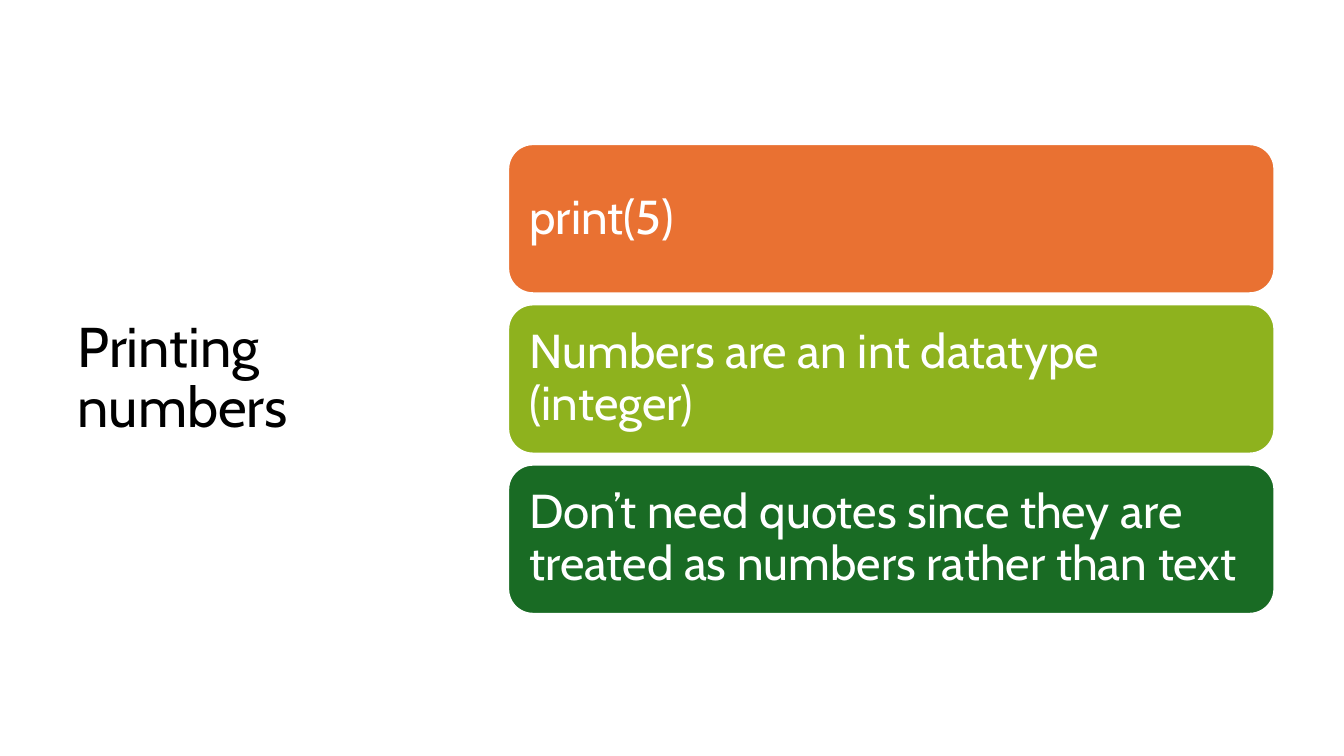
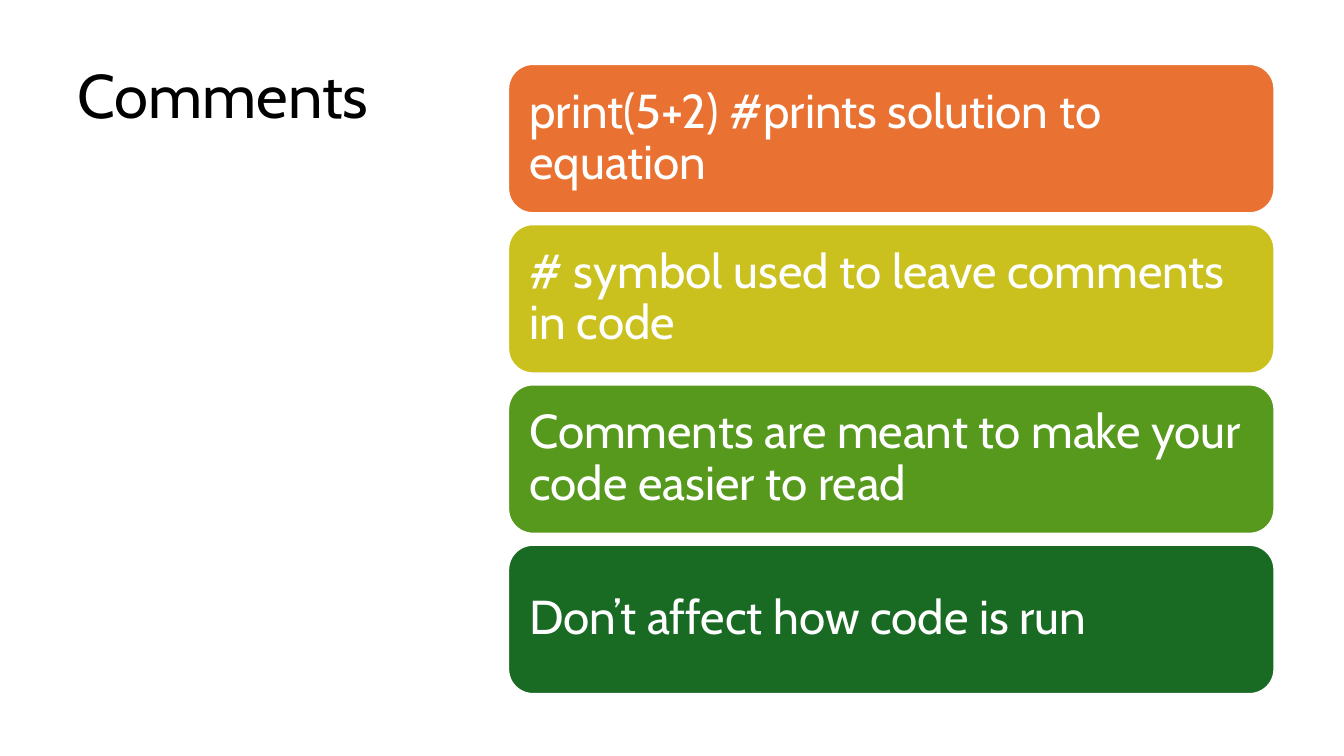
"""Build two lesson slides, each with a title and a stack of coloured cards."""
import pptx
import pptx.dml.color
import pptx.enum.shapes
import pptx.enum.text
import pptx.util

Inches = pptx.util.Inches
ANCHOR = pptx.enum.text.MSO_ANCHOR
FONT = "Cabin"
BLACK, WHITE = "000000", "FFFFFF"
ORANGE, YELLOW, LIME = "E97132", "CBC11E", "8EB21E"
GREEN, FOREST = "56991D", "196B24"
CARD_LEFT, CARD_WIDTH, CARD_HEIGHT = 5.04, 7.6, 1.48
CARD_GAP, CARD_INSET = 0.11, 0.14
STACK_MIDDLE = 3.76

SLIDES = [
    ("Printing numbers", 40, ANCHOR.MIDDLE, [
        ("print(5)", ORANGE),
        ("Numbers are an int datatype (integer)", LIME),
        ("Don’t need quotes since they are treated as numbers rather than text", FOREST),
    ]),
    ("Comments", 44, ANCHOR.TOP, [
        ("print(5+2) #prints solution to equation", ORANGE),
        ("# symbol used to leave comments in code", YELLOW),
        ("Comments are meant to make your code easier to read", GREEN),
        ("Don’t affect how code is run", FOREST),
    ]),
]


def paint(target, color):
    target.rgb = pptx.dml.color.RGBColor.from_string(color)


def write(shape, text, size, color, anchor):
    frame = shape.text_frame
    frame.text = text
    frame.word_wrap = True
    frame.vertical_anchor = anchor
    para = frame.paragraphs[0]
    para.alignment = pptx.enum.text.PP_ALIGN.LEFT
    para.line_spacing = 0.9
    font = para.runs[0].font
    font.name = FONT
    font.size = pptx.util.Pt(size)
    paint(font.color, color)


def add_title(slide, text, size, anchor):
    box = slide.shapes.add_textbox(
        Inches(0.67), Inches(0.6), Inches(3.82), Inches(6.33))
    write(box, text, size, BLACK, anchor)


def add_card(slide, top, text, color):
    card = slide.shapes.add_shape(
        pptx.enum.shapes.MSO_SHAPE.ROUNDED_RECTANGLE,
        Inches(CARD_LEFT), Inches(top), Inches(CARD_WIDTH), Inches(CARD_HEIGHT))
    card.shadow.inherit = False
    card.fill.solid()
    paint(card.fill.fore_color, color)
    paint(card.line.color, WHITE)
    card.line.width = pptx.util.Pt(1.5)
    frame = card.text_frame
    frame.margin_left = frame.margin_right = Inches(CARD_INSET)
    frame.margin_top = frame.margin_bottom = Inches(CARD_INSET)
    write(card, text, 34, WHITE, ANCHOR.MIDDLE)


def add_stack(slide, cards):
    pitch = CARD_HEIGHT + CARD_GAP
    top = STACK_MIDDLE - (len(cards) * pitch - CARD_GAP) / 2
    for row, (text, color) in enumerate(cards):
        add_card(slide, top + row * pitch, text, color)


def main():
    deck = pptx.Presentation()
    deck.slide_width, deck.slide_height = Inches(13.33), Inches(7.5)
    for title, size, anchor, cards in SLIDES:
        slide = deck.slides.add_slide(deck.slide_layouts[6])
        add_title(slide, title, size, anchor)
        add_stack(slide, cards)
    deck.save("out.pptx")


if __name__ == "__main__":
    main()
